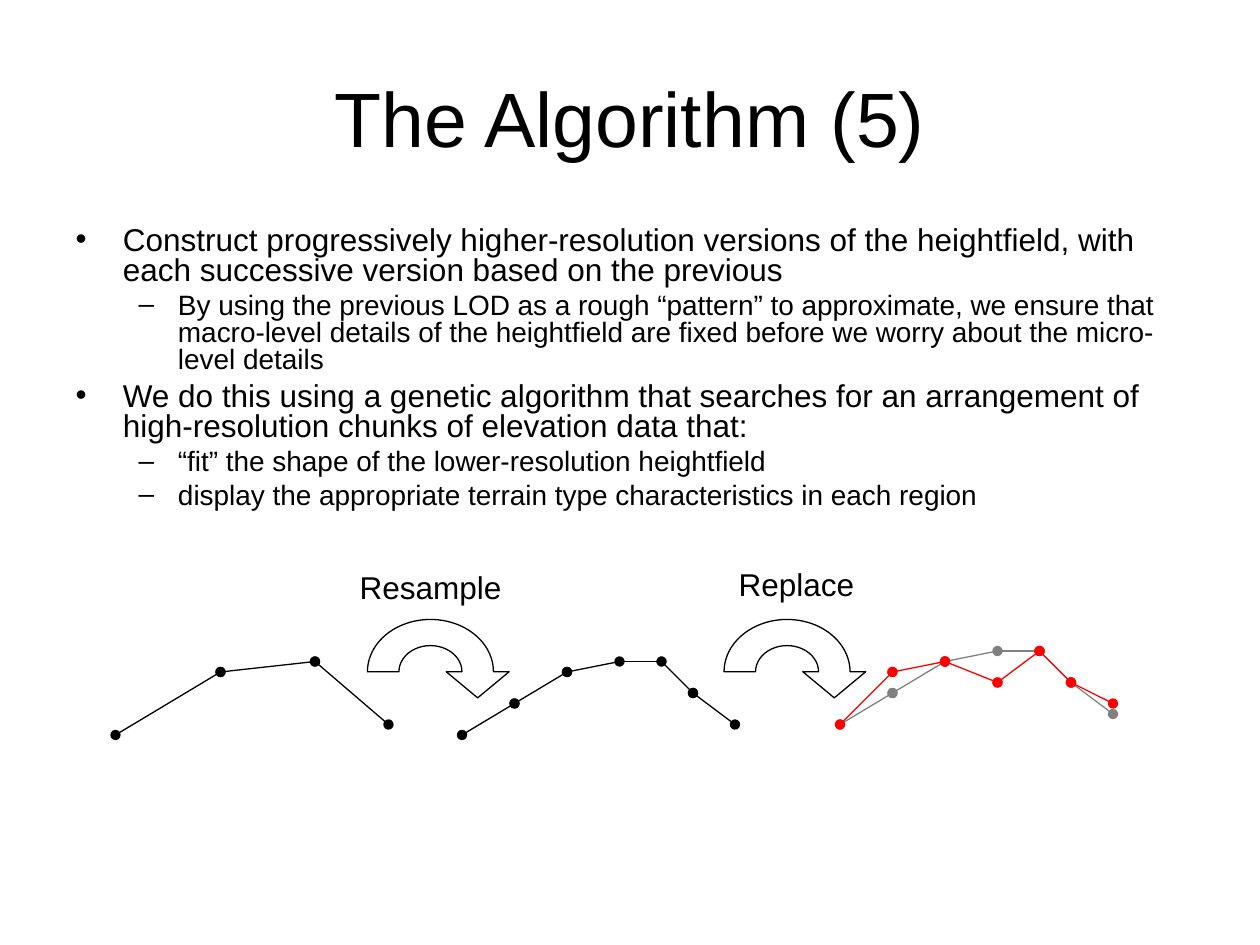
from collections import namedtuple
from dataclasses import dataclass

import pptx
import pptx.dml.color
import pptx.enum.shapes
import pptx.enum.text
import pptx.oxml
import pptx.oxml.ns
import pptx.util
from pptx.util import Inches

Box = namedtuple("Box", "left top width height")
NAMESPACE = pptx.oxml.ns.nsdecls("a")


@dataclass(frozen=True)
class Theme:
    font: str = "Arial"
    ink: str = "000000"
    paper: str = "FFFFFF"
    earlier: str = "808080"
    replaced: str = "FF0000"
    title_size: int = 44
    body_sizes: tuple = (18, 16)
    body_gaps: tuple = (4.5, 4)
    label_size: int = 18
    line_width: float = 0.75


THEME = Theme()

BULLETS = [
    (0, "Construct progressively higher-resolution versions of the heightfield, "
        "with each successive version based on the previous"),
    (1, "By using the previous LOD as a rough “pattern” to approximate, we ensure "
        "that macro-level details of the heightfield are fixed before we worry "
        "about the micro-level details"),
    (0, "We do this using a genetic algorithm that searches for an arrangement of "
        "high-resolution chunks of elevation data that:"),
    (1, "“fit” the shape of the lower-resolution heightfield"),
    (1, "display the appropriate terrain type characteristics in each region"),
]

# Height samples, as (column, row) steps from the top left of a profile's box
STEPS_PER_INCH = 12
COARSE = [(0, 8), (10, 2), (19, 1), (26, 7)]
RESAMPLED = [(0, 8), (5, 5), (10, 2), (15, 1), (19, 1), (22, 4), (26, 7)]
REPLACED = [(0, 8), (5, 3), (10, 2), (15, 4), (19, 1), (22, 4), (26, 6)]

# Half ring with an arrowhead, in thousandths of the arrow's box
ARROW_OUTLINE = f"""
<a:path {NAMESPACE} w="1000" h="1000">
  <a:moveTo><a:pt x="750" y="500"/></a:moveTo>
  <a:arcTo wR="250" hR="250" stAng="0" swAng="-10800000"/>
  <a:lnTo><a:pt x="0" y="500"/></a:lnTo>
  <a:arcTo wR="500" hR="500" stAng="10800000" swAng="10800000"/>
  <a:lnTo><a:pt x="1125" y="500"/></a:lnTo>
  <a:lnTo><a:pt x="875" y="750"/></a:lnTo>
  <a:lnTo><a:pt x="625" y="500"/></a:lnTo>
  <a:close/>
</a:path>"""


def color(value):
    return pptx.dml.color.RGBColor.from_string(value)


def apply(target, formats):
    for name, value in formats.items():
        setattr(target, name, value)


def place(shape, box):
    apply(shape, {name: Inches(value) for name, value in box._asdict().items()})


def style_font(paragraph, size):
    apply(paragraph.font, {"name": THEME.font, "size": pptx.util.Pt(size)})
    paragraph.font.color.rgb = color(THEME.ink)


def style_line(shape, value):
    shape.line.color.rgb = color(value)
    shape.line.width = pptx.util.Pt(THEME.line_width)


def add_title(slide, box, text):
    title = slide.shapes.title
    place(title, box)
    title.text_frame.text = text
    title.text_frame.vertical_anchor = pptx.enum.text.MSO_ANCHOR.MIDDLE
    paragraph = title.text_frame.paragraphs[0]
    paragraph.alignment = pptx.enum.text.PP_ALIGN.CENTER
    style_font(paragraph, THEME.title_size)


def add_bullets(slide, box, items):
    """Fill the body placeholder, whose levels bring their own bullets and indents."""
    body = slide.placeholders[1]
    place(body, box)
    frame = body.text_frame
    frame.auto_size = pptx.enum.text.MSO_AUTO_SIZE.NONE
    for index, (level, text) in enumerate(items):
        paragraph = frame.add_paragraph() if index else frame.paragraphs[0]
        gap = THEME.body_gaps[level] if index else 0
        apply(paragraph, {"text": text, "level": level, "line_spacing": 0.8,
                          "space_before": pptx.util.Pt(gap)})
        style_font(paragraph, THEME.body_sizes[level])


def add_profile(slide, left, top, samples, value):
    """Draw a terrain profile as segments; level ones share their neighbours' dots."""
    points = [(Inches(left + column / STEPS_PER_INCH), Inches(top + row / STEPS_PER_INCH))
              for column, row in samples]
    group = slide.shapes.add_group_shape()
    for start, end in zip(points, points[1:]):
        segment = group.shapes.add_connector(
            pptx.enum.shapes.MSO_CONNECTOR.STRAIGHT, *start, *end)
        style_line(segment, value)
        dotted_ends = ("headEnd", "tailEnd") if start[1] != end[1] else ()
        for tag in dotted_ends:
            segment.line._get_or_add_ln().append(
                pptx.oxml.parse_xml(f'<a:{tag} {NAMESPACE} type="oval"/>'))
        segment._element.spPr.append(pptx.oxml.parse_xml(f"<a:effectLst {NAMESPACE}/>"))


def add_curved_arrow(slide, box):
    """Draw a half ring over the box's centre, with its head pointing down at the right."""
    builder = slide.shapes.build_freeform()
    builder.add_line_segments([(Inches(box.width), Inches(box.height))])
    arrow = builder.convert_to_shape()
    outline = arrow._element.find(".//" + pptx.oxml.ns.qn("a:path"))
    outline.getparent().replace(outline, pptx.oxml.parse_xml(ARROW_OUTLINE))
    place(arrow, box)
    arrow.shadow.inherit = False
    arrow.fill.solid()
    arrow.fill.fore_color.rgb = color(THEME.paper)
    style_line(arrow, THEME.ink)


def add_label(slide, box, text):
    label = slide.shapes.add_textbox(*map(Inches, box))
    frame = label.text_frame
    apply(frame, {"text": text, "word_wrap": False,
                  "auto_size": pptx.enum.text.MSO_AUTO_SIZE.NONE})
    paragraph = frame.paragraphs[0]
    paragraph.alignment = pptx.enum.text.PP_ALIGN.CENTER
    style_font(paragraph, THEME.label_size)


def add_refinement(slide, left, top):
    """Lay out the profiles from coarse to replaced, with the steps between them."""
    add_profile(slide, left, top, COARSE, THEME.ink)
    add_profile(slide, left + 2.75, top, RESAMPLED, THEME.ink)
    last_left, last_top = left + 5.75, top - 1 / STEPS_PER_INCH
    add_profile(slide, last_left, last_top, RESAMPLED, THEME.earlier)
    steps = [("Resample", 2, Box(left + 1.83, top - 0.71, 1.34, 0.4)),
             ("Replace", 4.83, Box(left + 4.84, top - 0.73, 1.13, 0.4))]
    for text, offset, label_box in steps:
        add_curved_arrow(slide, Box(left + offset, top - 0.25, 1, 0.83))
        add_label(slide, label_box, text)
    add_profile(slide, last_left, last_top, REPLACED, THEME.replaced)


def main():
    presentation = pptx.Presentation()
    presentation.slide_width = Inches(10)
    presentation.slide_height = Inches(7.5)
    slide = presentation.slides.add_slide(presentation.slide_layouts[1])
    add_title(slide, Box(0.5, 0.3, 9, 1.25), "The Algorithm (5)")
    add_bullets(slide, Box(0.5, 1.75, 9, 2.39), BULLETS)
    add_refinement(slide, 11 / STEPS_PER_INCH, 62 / STEPS_PER_INCH)
    presentation.save("out.pptx")


if __name__ == "__main__":
    main()
